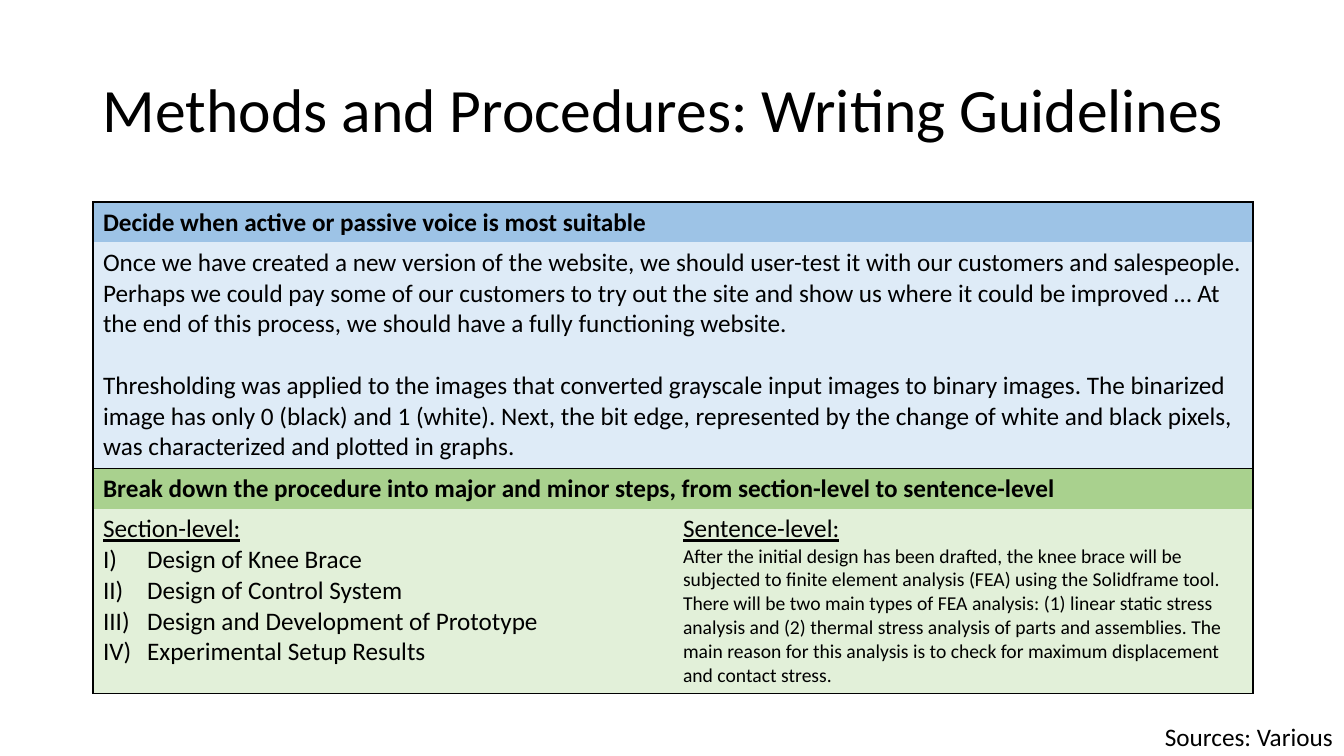
from dataclasses import dataclass

from lxml import etree
from pptx import Presentation
from pptx import util as u
from pptx.dml.color import RGBColor
from pptx.enum import text
from pptx.oxml import ns

EMU_PER_PX = 914400 / 100.8
FONT = "Calibri"
BLACK = RGBColor(0x00, 0x00, 0x00)
BLUE = RGBColor(0x9D, 0xC3, 0xE6)
PALE_BLUE = RGBColor(0xDE, 0xEB, 0xF7)
GREEN = RGBColor(0xA9, 0xD1, 0x8E)
PALE_GREEN = RGBColor(0xE2, 0xF0, 0xD9)
LINE_WIDTH = u.Pt(1)
STEP_INDENT = 44
COLUMN_WIDTH = 580


@dataclass(frozen=True)
class Para:
    words: str
    size: int = 18
    bold: bool = False
    underline: bool = False
    numbered: bool = False
    before: int = 0
    spacing: float = 1.0


@dataclass(frozen=True)
class Row:
    height: int
    fill: RGBColor
    cells: list[list[Para]]
    top_line: bool = False
    bottom_line: bool = False


STEPS = [
    "Design of Knee Brace",
    "Design of Control System",
    "Design and Development of Prototype",
    "Experimental Setup Results",
]

ROWS = [
    Row(40, BLUE, [[Para("Decide when active or passive voice is most suitable", bold=True)]],
        top_line=True),
    Row(226, PALE_BLUE, [[
        Para("Once we have created a new version of the website, we should user-test it with our "
             "customers and salespeople. Perhaps we could pay some of our customers to try out the "
             "site and show us where it could be improved … At the end of this process, we should "
             "have a fully functioning website."),
        Para("Thresholding was applied to the images that converted grayscale input images to "
             "binary images. The binarized image has only 0 (black) and 1 (white). Next, the bit "
             "edge, represented by the change of white and black pixels, was characterized and "
             "plotted in graphs.", before=22),
    ]], bottom_line=True),
    Row(40, GREEN, [[Para("Break down the procedure into major and minor steps, from section-level "
                          "to sentence-level", bold=True)]], top_line=True),
    Row(185, PALE_GREEN, [
        [Para("Section-level:", underline=True)] + [Para(step, numbered=True) for step in STEPS],
        [Para("Sentence-level:", underline=True),
         Para("After the initial design has been drafted, the knee brace will be subjected to "
              "finite element analysis (FEA) using the Solidframe tool. There will be two main "
              "types of FEA analysis: (1) linear static stress analysis and (2) thermal stress "
              "analysis of parts and assemblies. The main reason for this analysis is to check for "
              "maximum displacement and contact stress.", size=14)],
    ], bottom_line=True),
]


def px(pixels: int) -> u.Emu:
    return u.Emu(round(pixels * EMU_PER_PX))


def write(tf, paras: list[Para]) -> None:
    tf.text = "\n".join(para.words for para in paras)
    for p, para in zip(tf.paragraphs, paras):
        p.line_spacing = para.spacing
        p.space_before = u.Pt(para.before)
        if para.numbered:
            pPr = p._p.get_or_add_pPr()
            pPr.set("marL", str(px(STEP_INDENT)))
            pPr.set("indent", str(-px(STEP_INDENT)))
            etree.SubElement(pPr, ns.qn("a:buAutoNum"), type="romanUcParenR")
        for r in p.runs:
            r.font.name = FONT
            r.font.size = u.Pt(para.size)
            r.font.bold = para.bold
            r.font.underline = para.underline
            r.font.color.rgb = BLACK


def add_text(s, left: int, top: int, width: int, height: int, para: Para,
             anchor: text.MSO_ANCHOR, wrap: bool) -> None:
    tf = s.shapes.add_textbox(px(left), px(top), px(width), px(height)).text_frame
    tf.word_wrap = wrap
    tf.vertical_anchor = anchor
    write(tf, [para])


def set_borders(cell, sides: dict[str, bool]) -> None:
    tcPr = cell._tc.get_or_add_tcPr()
    for side, drawn in sides.items():
        ln = etree.SubElement(tcPr, ns.qn(f"a:ln{side}"), w=str(LINE_WIDTH))
        if drawn:
            fill = etree.SubElement(ln, ns.qn("a:solidFill"))
            etree.SubElement(fill, ns.qn("a:srgbClr"), val=str(BLACK))
        else:
            etree.SubElement(ln, ns.qn("a:noFill"))


def add_guidelines(s, left: int, top: int, rows: list[Row]) -> None:
    height = sum(row.height for row in rows)
    table = s.shapes.add_table(len(rows), 2, px(left), px(top),
                               px(2 * COLUMN_WIDTH), px(height)).table
    for column in table.columns:
        column.width = px(COLUMN_WIDTH)
    for i, row in enumerate(rows):
        table.rows[i].height = px(row.height)
        first, last = table.cell(i, 0), table.cell(i, 1)
        merged = len(row.cells) == 1
        if merged:
            first.merge(last)
        for cell in (first, last):
            set_borders(cell, {
                "L": cell is first,
                "R": cell is last or merged,
                "T": row.top_line,
                "B": row.bottom_line,
            })
            cell.fill.solid()
            cell.fill.fore_color.rgb = row.fill
        for cell, paras in zip((first, last), row.cells):
            write(cell.text_frame, paras)


def main() -> None:
    prs = Presentation()
    prs.slide_width, prs.slide_height = px(1344), px(756)
    s = prs.slides.add_slide(prs.slide_layouts[6])
    add_text(s, 93, 40, 1159, 146,
             Para("Methods and Procedures: Writing Guidelines", size=44, spacing=0.9),
             text.MSO_ANCHOR.MIDDLE, True)
    add_guidelines(s, 93, 202, ROWS)
    add_text(s, 1155, 716, 188, 40, Para("Sources: Various"), text.MSO_ANCHOR.TOP, False)
    prs.save("out.pptx")


main()
